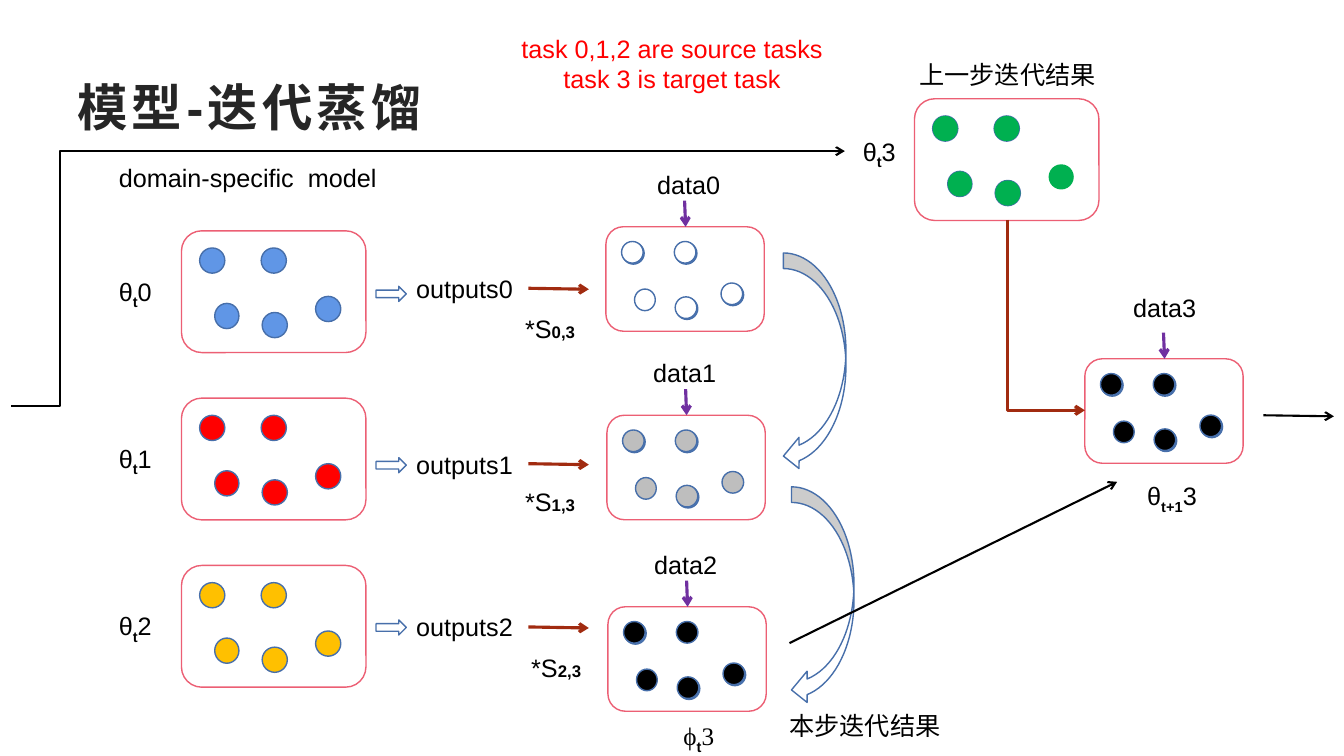
from lxml import etree
from pptx import Presentation
from pptx.dml.color import RGBColor
from pptx.enum.shapes import MSO_CONNECTOR, MSO_SHAPE
from pptx.enum.text import MSO_ANCHOR, PP_ALIGN
from pptx.oxml.ns import qn
from pptx.util import Inches, Pt

STRAIGHT, ELBOW = MSO_CONNECTOR.STRAIGHT, MSO_CONNECTOR.ELBOW
ROUNDED, OVAL = MSO_SHAPE.ROUNDED_RECTANGLE, MSO_SHAPE.OVAL
RIGHT_ARROW, CURVED_ARROW = MSO_SHAPE.RIGHT_ARROW, MSO_SHAPE.CURVED_LEFT_ARROW
MIDDLE, TOP = MSO_ANCHOR.MIDDLE, MSO_ANCHOR.TOP
LEFT, CENTER = PP_ALIGN.LEFT, PP_ALIGN.CENTER

BLACK = RGBColor(0x00, 0x00, 0x00)
WHITE = RGBColor(0xFF, 0xFF, 0xFF)
CHARCOAL = RGBColor(0x26, 0x26, 0x26)
RED = RGBColor(0xFF, 0x00, 0x00)
BLUE = RGBColor(0x60, 0x96, 0xE6)
OUTLINE = RGBColor(0x47, 0x6F, 0xAA)
PINK = RGBColor(0xEC, 0x5F, 0x74)
AMBER = RGBColor(0xFF, 0xC0, 0x00)
GREEN = RGBColor(0x00, 0xB0, 0x50)
GRAY = RGBColor(0xBE, 0xBE, 0xBE)
PURPLE = RGBColor(0x70, 0x30, 0xA0)
BROWN = RGBColor(0xA1, 0x2B, 0x10)

MODEL_WIDTH, DATA_WIDTH = 1.83, 1.57
CARD_RATIO = 0.66
DOTS = [(0.18, 0.17, 0.25), (0.79, 0.17, 0.25), (0.33, 0.72, 0.24),
        (1.33, 0.65, 0.25), (0.8, 0.81, 0.25)]


def add_figure(shapes, kind, left, top, width, height, fill, line=OUTLINE):
    """Add a preset shape with a solid fill and an optional outline."""
    shape = shapes.add_shape(kind, Inches(left), Inches(top), Inches(width), Inches(height))
    shape.shadow.inherit = False
    shape.fill.solid()
    shape.fill.fore_color.rgb = fill
    if line is None:
        shape.line.fill.background()
    else:
        shape.line.color.rgb = line
        shape.line.width = Pt(1)
    return shape


def add_arrow(shapes, start, end, color, width, kind=STRAIGHT):
    """Add a connector with an open arrowhead at its end."""
    connector = shapes.add_connector(kind, *(Inches(value) for value in (*start, *end)))
    connector.line.color.rgb = color
    connector.line.width = Pt(width)
    etree.SubElement(connector.line._get_or_add_ln(), qn("a:tailEnd"), type="arrow")
    etree.SubElement(connector._element.spPr, qn("a:effectLst"))
    return connector


def add_text(slide, left, top, width, lines, size=18, color=BLACK, bold=False,
             align=LEFT, height=0.4, anchor=TOP):
    """Add a text box with one paragraph per line and return its paragraphs."""
    frame = slide.shapes.add_textbox(
        Inches(left), Inches(top), Inches(width), Inches(height)).text_frame
    frame.word_wrap = True
    frame.vertical_anchor = anchor
    frame.text = "\n".join(lines)
    for paragraph in frame.paragraphs:
        paragraph.alignment = align
        paragraph.font.name = "Arial"
        paragraph.font.size = Pt(size)
        paragraph.font.bold = bold
        paragraph.font.color.rgb = color
    return frame.paragraphs


def add_symbol(slide, left, top, letter, subscript, index, font="Arial"):
    """Add a model symbol with a bold subscript and a task index."""
    paragraph = add_text(slide, left, top, 0.8, [letter])[0]
    paragraph.runs[0].font.name = font
    step = paragraph.add_run()
    step.text = subscript
    step.font.bold = True
    step._r.get_or_add_rPr().set("baseline", "-25000")
    task = paragraph.add_run()
    task.text = index
    task.font.name = font


def add_weight(slide, left, top, source):
    """Add the similarity weight between a source task and the target task."""
    paragraph = add_text(slide, left, top, 0.8, ["*S"])[0]
    pair = paragraph.add_run()
    pair.text = f"{source},3"
    pair.font.size = Pt(12)
    pair.font.bold = True


def add_card(slide, left, top, width, color, line=OUTLINE, backed=(), shift=0.0):
    """Add a grouped card of five dots, some backed by a blue dot."""
    group = slide.shapes.add_group_shape()
    scale = width / MODEL_WIDTH
    add_figure(group.shapes, ROUNDED, left, top, width, width * CARD_RATIO, WHITE, PINK)
    for number, (across, down, size) in enumerate(DOTS):
        x, y = left + across * scale, top + down * scale
        dot_width, dot_height = size * scale, 0.25 * scale
        if number in backed:
            add_figure(group.shapes, OVAL, x + shift, y + shift, dot_width, dot_height, BLUE)
        add_figure(group.shapes, OVAL, x, y, dot_width, dot_height, color, line)
    return group


def add_data_card(slide, left, top, color, backed, label, label_left, label_top):
    """Add a data card with its label and the arrow that feeds it."""
    group = add_card(slide, left, top, DATA_WIDTH, color, backed=backed, shift=0.01)
    add_arrow(group.shapes, (left + 0.78, top - 0.26), (left + 0.79, top), PURPLE, 2.25)
    add_text(slide, label_left, label_top, 0.9, [label])


def add_header(slide):
    """Add the title and the note on the tasks."""
    title = add_text(slide, 0.67, 0.67, 12, ["模型-迭代蒸馏"], size=36, color=CHARCOAL,
                     bold=True, height=0.77, anchor=MIDDLE)[0]
    title.runs[0]._r.get_or_add_rPr().set("spc", "300")
    add_text(slide, 4.87, 0.28, 3.59,
             ["task 0,1,2 are source tasks", "task 3 is target task"],
             color=RED, align=CENTER, height=0.71)


def add_source_models(slide):
    """Add the three domain-specific models at the left."""
    add_text(slide, 1.08, 1.56, 2.8, ["domain-specific  model"])
    for index, color in enumerate((BLUE, RED, AMBER)):
        top = 2.29 + 1.66 * index
        add_card(slide, 1.8, top, MODEL_WIDTH, color)
        add_symbol(slide, 1.08, top + 0.4, "θ", "t", str(index))


def add_outputs(slide):
    """Add the outputs, their arrows and their weights."""
    rows = [(2.66, 2.84, 2.86, 5.11, 3.06),
            (4.41, 4.54, 4.6, 5.11, 4.78),
            (6.02, 6.15, 6.22, 5.17, 6.42)]
    for index, (label_top, block_top, arrow_top, weight_left, weight_top) in enumerate(rows):
        add_figure(slide.shapes, RIGHT_ARROW, 3.73, block_top, 0.3, 0.15, WHITE)
        add_text(slide, 4.03, label_top, 1.2, [f"outputs{index}"])
        add_arrow(slide.shapes, (5.24, arrow_top), (5.84, arrow_top + 0.01), BROWN, 2.25)
        add_weight(slide, weight_left, weight_top, index)


def add_distillation(slide):
    """Add the chain of data cards that ends in this step's result."""
    add_data_card(slide, 6.01, 2.25, WHITE, (0, 1, 3, 4), "data0", 6.42, 1.63)
    add_data_card(slide, 6.02, 4.12, GRAY, (0, 1, 4), "data1", 6.38, 3.5)
    add_data_card(slide, 6.03, 6.02, BLACK, (0, 3, 4), "data2", 6.39, 5.4)
    for left, top in ((7.77, 2.51), (7.85, 4.83)):
        add_figure(slide.shapes, CURVED_ARROW, left, top, 0.62, 2.17, WHITE)
    add_symbol(slide, 6.68, 7.1, "ϕ", "t", "3", "Times New Roman")
    add_text(slide, 7.73, 7, 2.06, ["本步迭代结果"])


def add_target(slide):
    """Add the previous result, the updated target model and their links."""
    add_text(slide, 9.02, 0.54, 2.06, ["上一步迭代结果"])
    add_card(slide, 9.07, 0.98, MODEL_WIDTH, GREEN, line=None, backed=(0, 1, 2, 4))
    add_symbol(slide, 8.46, 1.3, "θ", "t", "3")
    add_data_card(slide, 10.76, 3.56, BLACK, (0, 1, 3, 4), "data3", 11.14, 2.85)
    add_symbol(slide, 11.28, 4.72, "θ", "t+1", "3")

    descent = add_arrow(slide.shapes, (9.43, 3.51), (11.32, 2.74), BROWN, 2.25, ELBOW)
    descent._element.spPr.find(qn("a:xfrm")).set("rot", "5400000")
    descent._element.spPr.find(qn("a:prstGeom")).set("prst", "bentConnector2")

    entry = add_arrow(slide.shapes, (0.11, 4.03), (8.38, 1.5), BLACK, 1.5, ELBOW)
    geometry = entry._element.spPr.find(qn("a:prstGeom"))
    etree.SubElement(geometry.find(qn("a:avLst")), qn("a:gd"), name="adj1", fmla="val 5900")

    add_arrow(slide.shapes, (7.83, 6.38), (11.08, 4.78), BLACK, 1.5)
    add_arrow(slide.shapes, (12.53, 4.12), (13.23, 4.13), BLACK, 1.5)


def main():
    """Build the slide and save it."""
    presentation = Presentation()
    presentation.slide_width, presentation.slide_height = Inches(13.33), Inches(7.5)
    slide = presentation.slides.add_slide(presentation.slide_layouts[6])
    add_header(slide)
    add_source_models(slide)
    add_outputs(slide)
    add_distillation(slide)
    add_target(slide)
    presentation.save("out.pptx")


if __name__ == "__main__":
    main()
